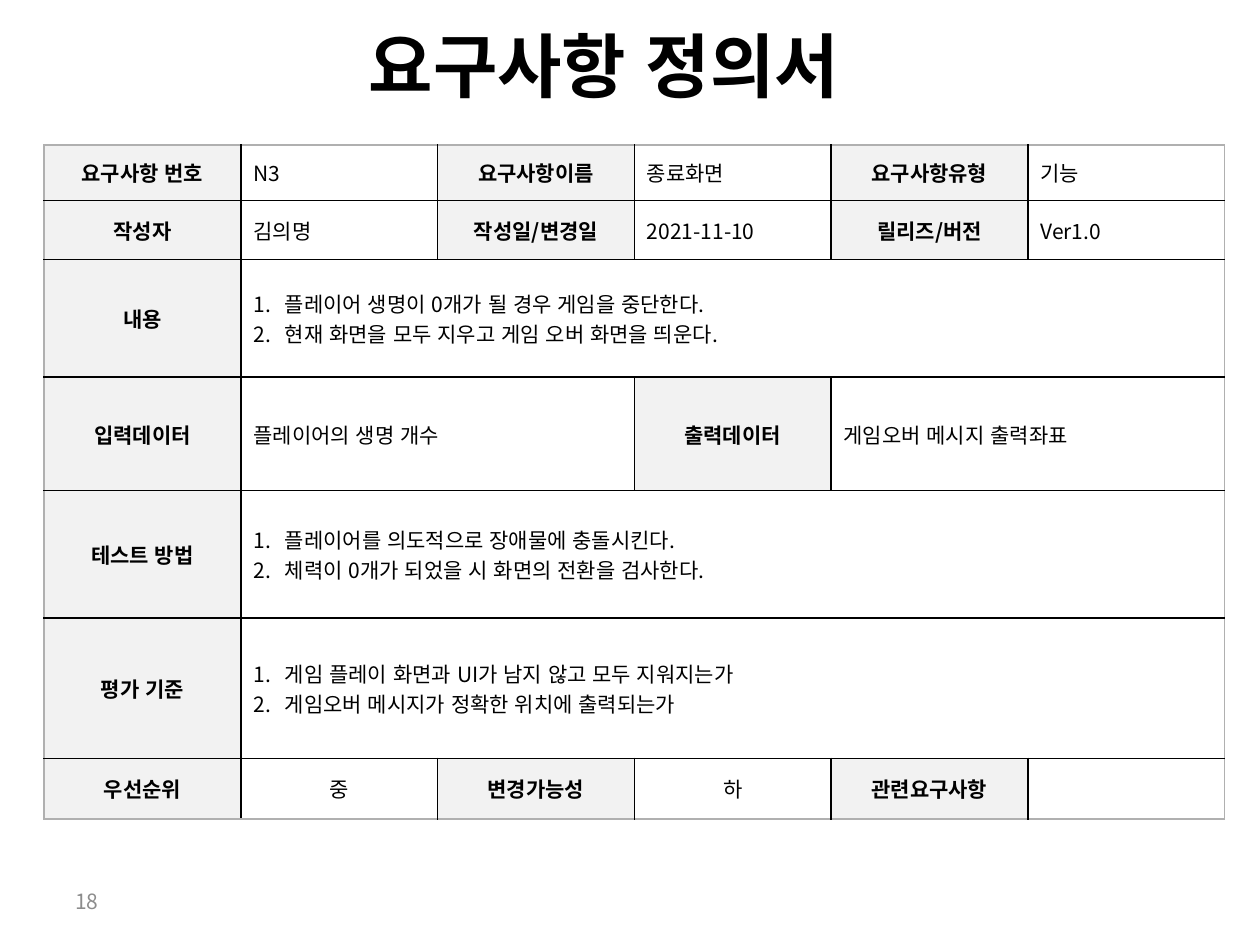
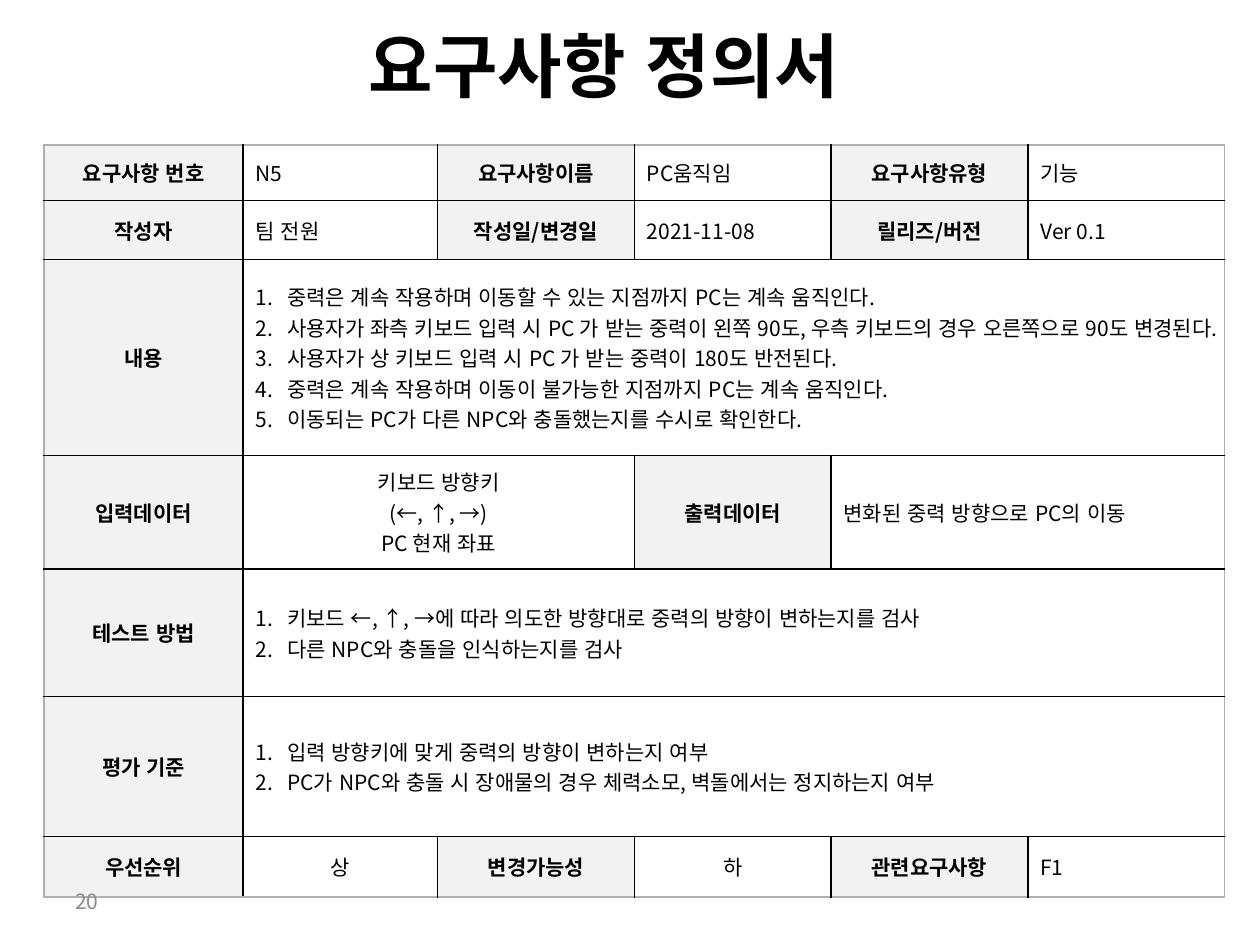
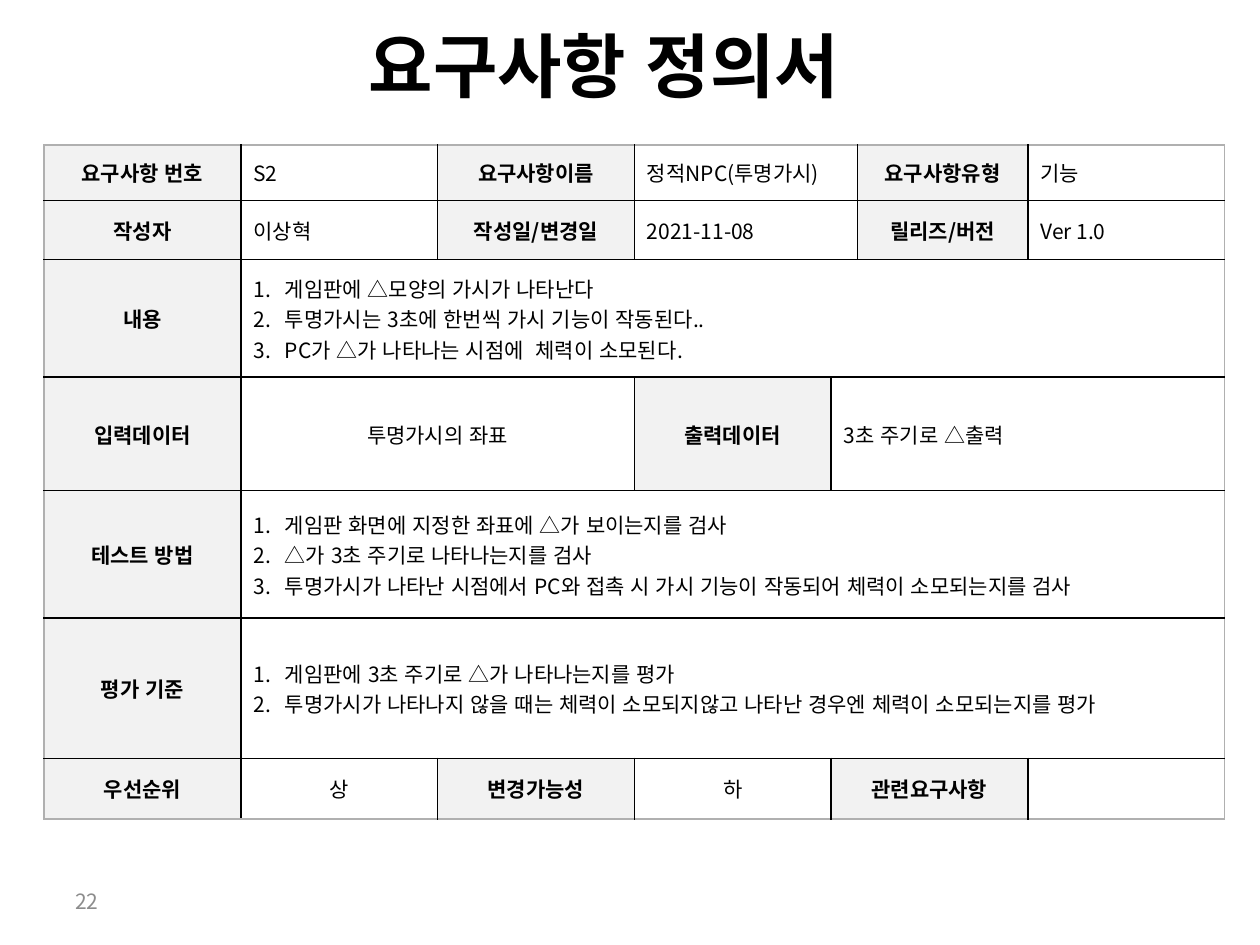
from dataclasses import dataclass

from lxml.etree import SubElement
from pptx import Presentation
from pptx.dml.color import RGBColor
from pptx.enum.text import MSO_ANCHOR, PP_ALIGN
from pptx.oxml.ns import qn
from pptx.util import Inches, Pt

FONT = "Noto Sans CJK KR"
COLORS = {"ink": "000000", "label": "F2F2F2", "edge": "B0B0B0", "page": "8C8C8C"}
WIDTH = 9.37
COL = WIDTH / 6
EVEN = (COL,) * 6
ROWS = (0.44, 0.47, 0.93, 0.9, 1.01, 1.11, 0.48)
SCALE = 5.35 / sum(ROWS)


@dataclass(frozen=True)
class Label:
    left: float
    top: float
    width: float
    height: float
    size: int
    color: str
    bold: bool
    anchor: MSO_ANCHOR


TITLE = Label(2.83, 0.13, 4.33, 0.77, 40, "ink", True, MSO_ANCHOR.TOP)
PAGE = Label(0.5, 6.95, 2.33, 0.4, 12, "page", False, MSO_ANCHOR.MIDDLE)


@dataclass(frozen=True)
class Field:
    name: str
    text: str
    mid: bool = False
    list: bool = False


@dataclass(frozen=True)
class Sheet:
    page: str
    cols: tuple[float, ...]
    code: str
    title: str
    author: str
    date: str
    release: str
    content: str
    input: str
    output: str
    test: str
    grade: str
    rank: str
    link: str = ""
    mid: bool = True
    tall: float = ROWS[2]

    def rows(self) -> list[tuple[tuple[int, ...], tuple[Field, ...]]]:
        extra = len(self.cols) - 6
        head = (1, 1, 1, 1 + extra, 1, 1)
        wide = (1, 5 + extra)
        return [
            (head, (Field("요구사항 번호", self.code),
                    Field("요구사항이름", self.title),
                    Field("요구사항유형", "기능"))),
            (head, (Field("작성자", self.author),
                    Field("작성일/변경일", self.date),
                    Field("릴리즈/버전", self.release))),
            (wide, (Field("내용", self.content, list=True),)),
            ((1, 2, 1, 2 + extra), (Field("입력데이터", self.input, self.mid),
                                    Field("출력데이터", self.output))),
            (wide, (Field("테스트 방법", self.test, list=True),)),
            (wide, (Field("평가 기준", self.grade, list=True),)),
            ((1, 1, 1, 1, 1 + extra, 1), (Field("우선순위", self.rank, True),
                                          Field("변경가능성", "하", True),
                                          Field("관련요구사항", self.link))),
        ]


SHEETS = (
    Sheet(
        page="18", cols=EVEN, code="N3", title="종료화면",
        author="김의명", date="2021-11-10", release="Ver1.0",
        content="플레이어 생명이 0개가 될 경우 게임을 중단한다.\n"
                "현재 화면을 모두 지우고 게임 오버 화면을 띄운다.",
        input="플레이어의 생명 개수", output="게임오버 메시지 출력좌표",
        test="플레이어를 의도적으로 장애물에 충돌시킨다.\n"
             "체력이 0개가 되었을 시 화면의 전환을 검사한다.",
        grade="게임 플레이 화면과 UI가 남지 않고 모두 지워지는가\n"
              "게임오버 메시지가 정확한 위치에 출력되는가",
        rank="중", mid=False,
    ),
    Sheet(
        page="20", cols=(1.58, 2 * COL - 1.58) + EVEN[2:], code="N5",
        title="PC움직임",
        author="팀 전원", date="2021-11-08", release="Ver 0.1",
        content="중력은 계속 작용하며 이동할 수 있는 지점까지 PC는 계속 움직인다.\n"
                "사용자가 좌측 키보드 입력 시 PC 가 받는 중력이 왼쪽 90도, "
                "우측 키보드의 경우 오른쪽으로 90도 변경된다.\n"
                "사용자가 상 키보드 입력 시 PC 가 받는 중력이 180도 반전된다.\n"
                "중력은 계속 작용하며 이동이 불가능한 지점까지 PC는 계속 움직인다.\n"
                "이동되는 PC가 다른 NPC와 충돌했는지를 수시로 확인한다.",
        input="키보드 방향키\n(←, ↑, →)\nPC 현재 좌표",
        output="변화된 중력 방향으로 PC의 이동",
        test="키보드 ←, ↑, →에 따라 의도한 방향대로 중력의 방향이 변하는지를 검사\n"
             "다른 NPC와 충돌을 인식하는지를 검사",
        grade="입력 방향키에 맞게 중력의 방향이 변하는지 여부\n"
              "PC가 NPC와 충돌 시 장애물의 경우 체력소모, 벽돌에서는 정지하는지 여부",
        rank="상", link="F1", tall=1.55,
    ),
    Sheet(
        page="22", cols=EVEN[:4] + (0.21, COL - 0.21, COL), code="S2",
        title="정적NPC(투명가시)",
        author="이상혁", date="2021-11-08", release="Ver 1.0",
        content="게임판에 △모양의 가시가 나타난다\n"
                "투명가시는 3초에 한번씩 가시 기능이 작동된다..\n"
                "PC가 △가 나타나는 시점에  체력이 소모된다.",
        input="투명가시의 좌표", output="3초 주기로 △출력",
        test="게임판 화면에 지정한 좌표에 △가 보이는지를 검사\n"
             "△가 3초 주기로 나타나는지를 검사\n"
             "투명가시가 나타난 시점에서 PC와 접촉 시 가시 기능이 작동되어 "
             "체력이 소모되는지를 검사",
        grade="게임판에 3초 주기로 △가 나타나는지를 평가\n"
              "투명가시가 나타나지 않을 때는 체력이 소모되지않고 나타난 경우엔 "
              "체력이 소모되는지를 평가",
        rank="상",
    ),
)


def color(name: str) -> RGBColor:
    return RGBColor.from_string(COLORS[name])


def style(frame, size: int, tint: str, bold: bool) -> None:
    for para in frame.paragraphs:
        for run in para.runs:
            font = run.font
            font.name = FONT
            font.size = Pt(size)
            font.bold = bold
            font.color.rgb = color(tint)
            props = run._r.get_or_add_rPr()
            props.set("lang", "ko-KR")
            props.set("kern", "0")
            SubElement(props, qn("a:ea"), typeface=FONT)


def add_label(slide, label: Label, text: str) -> None:
    box = slide.shapes.add_textbox(Inches(label.left), Inches(label.top),
                                   Inches(label.width), Inches(label.height))
    frame = box.text_frame
    frame.word_wrap = True
    frame.vertical_anchor = label.anchor
    frame.text = text
    style(frame, label.size, label.color, label.bold)


def number(para) -> None:
    props = para._p.get_or_add_pPr()
    props.set("marL", str(Inches(0.25)))
    props.set("indent", str(-Inches(0.25)))
    SubElement(props, qn("a:buFont"), typeface="+mj-lt")
    SubElement(props, qn("a:buAutoNum"), type="arabicPeriod")


def border(cell, outer: dict[str, bool]) -> None:
    props = cell._tc.get_or_add_tcPr()
    for side, edge in outer.items():
        line = SubElement(props, qn(f"a:ln{side}"), w=str(Pt(1)))
        fill = SubElement(line, qn("a:solidFill"))
        SubElement(fill, qn("a:srgbClr"), val=COLORS["edge" if edge else "ink"])


def fill_cell(cell, text: str, label: bool, mid: bool, numbered: bool) -> None:
    cell.vertical_anchor = MSO_ANCHOR.MIDDLE
    if label:
        cell.fill.solid()
        cell.fill.fore_color.rgb = color("label")
    if not text:
        return
    frame = cell.text_frame
    frame.text = text
    for para in frame.paragraphs:
        para.alignment = PP_ALIGN.CENTER if mid else PP_ALIGN.LEFT
        if numbered:
            number(para)
    style(frame, 12, "ink", label)


def add_sheet(slide, sheet: Sheet) -> None:
    count, last = len(sheet.cols), len(ROWS) - 1
    heights = ROWS[:2] + (sheet.tall,) + ROWS[3:]
    table = slide.shapes.add_table(len(ROWS), count, Inches(0.35), Inches(1.15),
                                   Inches(WIDTH), Inches(sum(heights))).table
    table.first_row = False
    table.horz_banding = False
    for col, width in zip(table.columns, sheet.cols):
        col.width = Inches(width)
    for row, height in zip(table.rows, heights):
        row.height = Inches(height * SCALE)
    for r, (spans, fields) in enumerate(sheet.rows()):
        parts = [part for field in fields for part in (
            (field.name, True, True, False),
            (field.text, False, field.mid, field.list))]
        start = 0
        for span, part in zip(spans, parts):
            end = start + span
            for c in range(start, end):
                cell = table.cell(r, c)
                border(cell, {"L": start == 0, "R": end == count,
                              "T": r == 0, "B": r == last})
                cell.fill.background()
            cell = table.cell(r, start)
            if span > 1:
                cell.merge(table.cell(r, end - 1))
            fill_cell(cell, *part)
            start = end


def main() -> None:
    deck = Presentation()
    deck.slide_width = Inches(10)
    deck.slide_height = Inches(7.5)
    for sheet in SHEETS:
        slide = deck.slides.add_slide(deck.slide_layouts[6])
        add_sheet(slide, sheet)
        add_label(slide, TITLE, "요구사항 정의서")
        add_label(slide, PAGE, sheet.page)
    deck.save("out.pptx")


if __name__ == "__main__":
    main()
